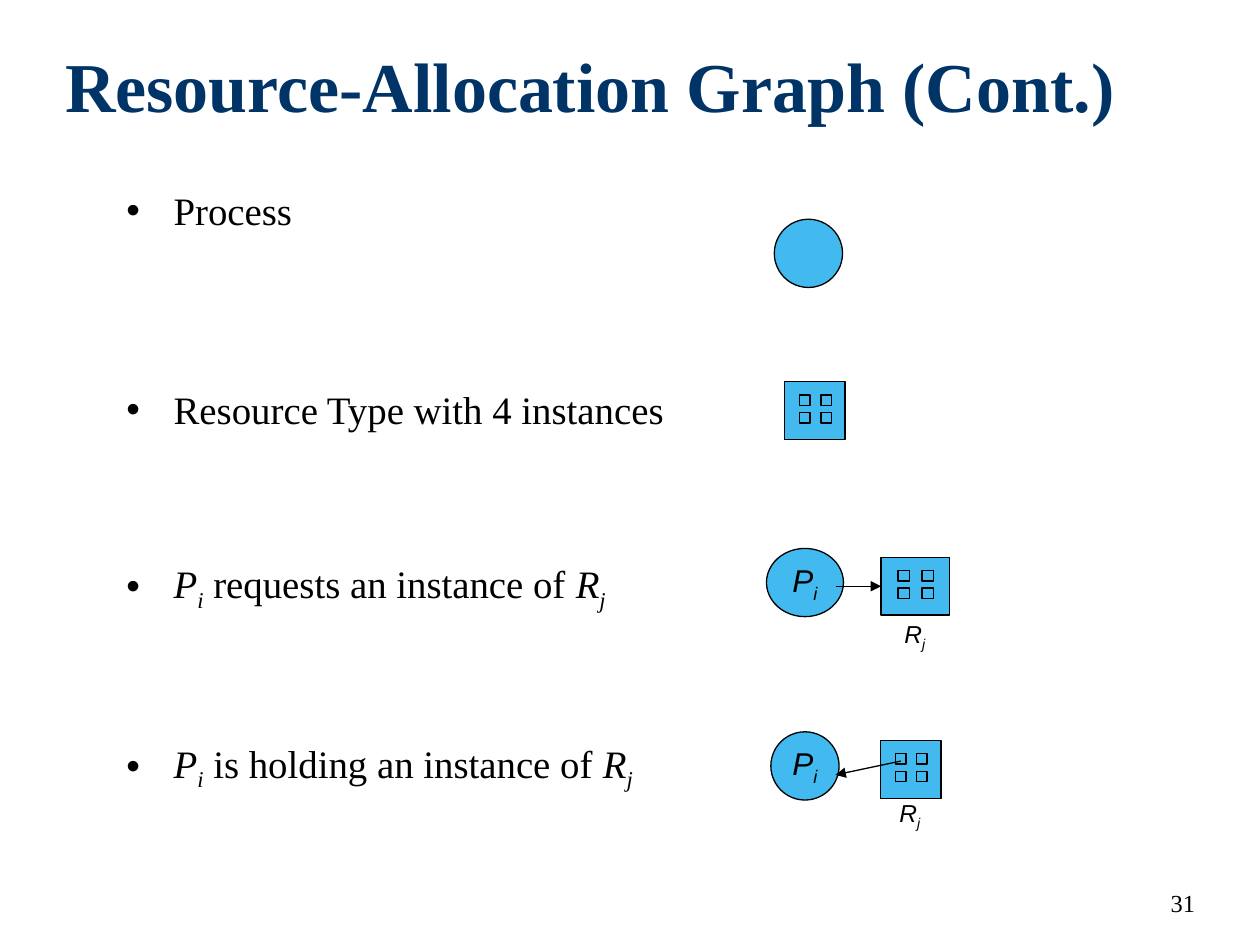
"""Build the resource-allocation graph legend slide."""
from lxml import etree
from pptx import Presentation
from pptx.dml.color import RGBColor
from pptx.enum.shapes import MSO_CONNECTOR, MSO_SHAPE
from pptx.enum.text import MSO_ANCHOR, MSO_AUTO_SIZE, PP_ALIGN
from pptx.oxml.ns import qn
from pptx.util import Pt

LEFT, CENTER, RIGHT = PP_ALIGN.LEFT, PP_ALIGN.CENTER, PP_ALIGN.RIGHT
TOP, MIDDLE = MSO_ANCHOR.TOP, MSO_ANCHOR.MIDDLE
NO_AUTOFIT = MSO_AUTO_SIZE.NONE
OVAL, RECTANGLE = MSO_SHAPE.OVAL, MSO_SHAPE.RECTANGLE
STRAIGHT = MSO_CONNECTOR.STRAIGHT

COLORS = {"title": "003366", "node": "42BAF0", "ink": "000000"}
SERIF, SANS = "Times New Roman", "Arial"
PLAIN, ITALIC, SUBSCRIPT = "plain", "italic", "subscript"

TITLE = [("Resource-Allocation Graph (Cont.)", PLAIN)]
PAGE_NUMBER = [("31", PLAIN)]
PROCESS_NAME = [("P", ITALIC), ("i", SUBSCRIPT)]
RESOURCE_NAME = [("R", ITALIC), ("j", SUBSCRIPT)]
LEGEND = [
    (0, [("Process", PLAIN)]),
    (87, [("Resource Type with 4 instances", PLAIN)]),
    (72.8, PROCESS_NAME + [(" requests an instance of ", PLAIN)] + RESOURCE_NAME),
    (72.4, PROCESS_NAME + [(" is holding an instance of ", PLAIN)] + RESOURCE_NAME),
]
PROCESSES = {
    "alone": (442.5, 125.3, 39, 39, []),
    "holding": (440.5, 418.2, 39, 39, PROCESS_NAME),
    "requesting": (438, 313.4, 44, 39, PROCESS_NAME),
}
RESOURCES = {
    "alone": (448.4, 218.2, 34.5),
    "requested": (503.5, 318.5, 39),
    "held": (503.2, 423.2, 34.5),
}
RESOURCE_LABELS = [(509.8, 350), (506.9, 452.2)]
RESOURCE_HEIGHT = 33
INSTANCE_LEFT, INSTANCE_WIDTH, INSTANCE_PITCH = 0.25, 0.17, 0.35
INSTANCE_TOP, INSTANCE_HEIGHT, ROW_PITCH = 7.5, 6, 10


def color(name):
    return RGBColor.from_string(COLORS[name])


def place(part, left, top, width, height):
    part.left, part.top, part.width, part.height = map(Pt, (left, top, width, height))


def write(frame, paragraphs, *, size, font=SERIF, ink="ink", bold=False,
          align=LEFT, anchor=TOP, wrap=True, indent=0):
    frame.auto_size, frame.word_wrap = NO_AUTOFIT, wrap
    frame.vertical_anchor = anchor
    for index, (space_before, runs) in enumerate(paragraphs):
        paragraph = frame.add_paragraph() if index else frame.paragraphs[0]
        paragraph.alignment = align
        paragraph.space_before = Pt(space_before)
        if indent:
            properties = paragraph._p.get_or_add_pPr()
            properties.set("marL", str(Pt(indent)))
            properties.set("indent", str(Pt(-indent)))
            etree.SubElement(properties, qn("a:buChar")).set("char", "•")
        for words, style in runs:
            run = paragraph.add_run()
            run.text = words
            run.font.name, run.font.size = font, Pt(size)
            run.font.bold, run.font.italic = bold, style != PLAIN
            run.font.color.rgb = color(ink)
            if style == SUBSCRIPT:
                run._r.get_or_add_rPr().set("baseline", "-25000")


def add_node(shapes, preset, left, top, width, height):
    node = shapes.add_shape(preset, *map(Pt, (left, top, width, height)))
    node.shadow.inherit = False
    node.fill.solid()
    node.fill.fore_color.rgb = color("node")
    node.line.color.rgb = color("ink")
    node.line.width = Pt(0.75)
    return node


def add_resource(shapes, left, top, width):
    members = shapes.add_group_shape().shapes
    resource = add_node(members, RECTANGLE, left, top, width, RESOURCE_HEIGHT)
    for row in range(2):
        for column in range(2):
            add_node(members, RECTANGLE,
                     left + width * (INSTANCE_LEFT + column * INSTANCE_PITCH),
                     top + INSTANCE_TOP + row * ROW_PITCH,
                     width * INSTANCE_WIDTH, INSTANCE_HEIGHT)
    return resource


def add_arrow(shapes, *ends):
    arrow = shapes.add_connector(STRAIGHT, *map(Pt, ends))
    arrow.line.color.rgb = color("ink")
    arrow.line.width = Pt(0.75)
    outline = arrow.line._get_or_add_ln()
    etree.SubElement(outline, qn("a:tailEnd")).set("type", "triangle")
    etree.SubElement(arrow._element.spPr, qn("a:effectLst"))
    return arrow


def add_text(shapes, box, runs, **text_format):
    label = shapes.add_textbox(*map(Pt, box))
    write(label.text_frame, [(0, runs)], **text_format)


def main():
    deck = Presentation()
    deck.slide_width, deck.slide_height = Pt(720), Pt(540)
    slide = deck.slides.add_slide(deck.slide_layouts[1])
    shapes = slide.shapes

    place(shapes.title, 30, 24, 672, 48)
    write(shapes.title.text_frame, [(0, TITLE)], size=40, ink="title",
          bold=True, anchor=MIDDLE)
    legend = slide.placeholders[1]
    place(legend, 65, 103, 623, 350)
    write(legend.text_frame, LEGEND, size=22.2, indent=27)
    add_text(shapes, (515.5, 504, 174.5, 25), PAGE_NUMBER, size=14, align=RIGHT)

    for *box, name in PROCESSES.values():
        process = add_node(shapes, OVAL, *box)
        if name:
            write(process.text_frame, [(0, name)], size=18, font=SANS,
                  align=CENTER, anchor=MIDDLE, wrap=False)
    resources = {role: add_resource(shapes, *box) for role, box in RESOURCES.items()}
    for left, top in RESOURCE_LABELS:
        add_text(shapes, (left, top, 26, 26.5), RESOURCE_NAME, size=14, font=SANS,
                 align=CENTER, anchor=MIDDLE, wrap=False)

    request = add_arrow(shapes, 478, 335, 503.5, 335)
    request.end_connect(resources["requested"], 1)
    add_arrow(shapes, 514.8, 434.9, 477.4, 442.8)
    deck.save("out.pptx")


if __name__ == "__main__":
    main()
